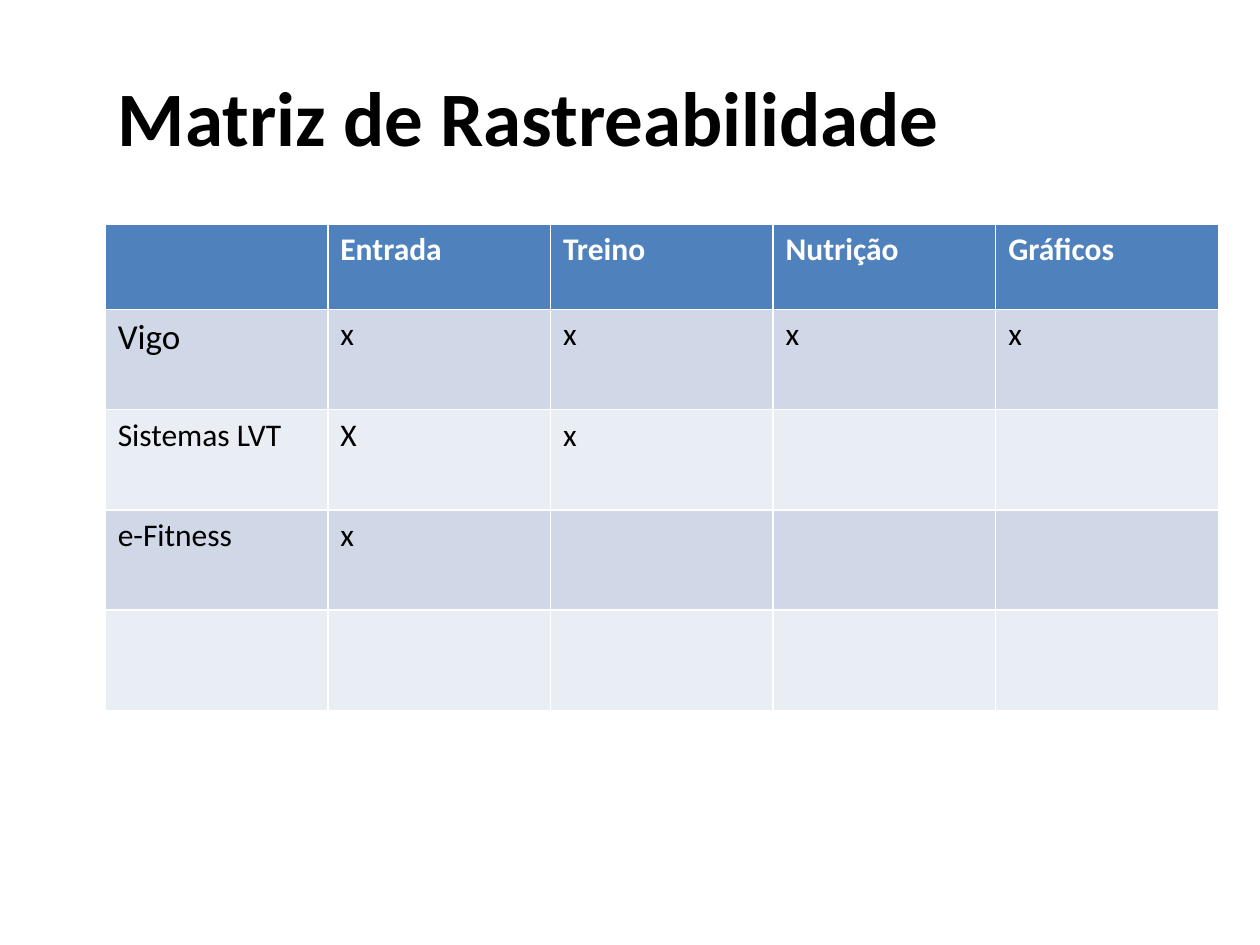
from pptx import Presentation
from pptx.dml.color import RGBColor
from pptx.enum.text import MSO_ANCHOR, PP_ALIGN
from pptx.util import Cm, Pt

LEFT = PP_ALIGN.LEFT
MIDDLE = MSO_ANCHOR.MIDDLE
TITLE_ONLY = 5
FONT = "Calibri"
COLORS = {
    "text": "000000",
    "header_text": "FFFFFF",
    "header": "4F81BD",
    "odd_row": "D0D8E8",
    "even_row": "E9EDF4",
}

FEATURES = ["", "Entrada", "Treino", "Nutrição", "Gráficos"]
SYSTEMS = [
    ["Vigo", "x", "x", "x", "x"],
    ["Sistemas LVT", "X", "x", "", ""],
    ["e-Fitness", "x", "", "", ""],
    ["", "", "", "", ""],
]
LARGE_NAME = SYSTEMS[0][0]


def color(name):
    return RGBColor.from_string(COLORS[name])


def style(paragraph, size, color_name, bold):
    font = paragraph.font
    font.name, font.size, font.bold = FONT, Pt(size), bold
    font.color.rgb = color(color_name)


def add_title(slide, left, top, width, height):
    title = slide.shapes.title
    title.left, title.top, title.width, title.height = left, top, width, height
    title.text_frame.text = "Matriz de Rastreabilidade"
    title.text_frame.vertical_anchor = MIDDLE
    heading = title.text_frame.paragraphs[0]
    heading.alignment = LEFT
    style(heading, 44, "text", True)


def add_matrix(slide, left, top, width, header_height, row_height):
    """Add the traceability table; its default style draws the white rules."""
    rows = [FEATURES] + SYSTEMS
    height = header_height + row_height * len(SYSTEMS)
    matrix = slide.shapes.add_table(
        len(rows), len(FEATURES), left, top, width, height).table
    for column in matrix.columns:
        column.width = width // len(FEATURES)
    for r, labels in enumerate(rows):
        is_header = r == 0
        matrix.rows[r].height = header_height if is_header else row_height
        band = "header" if is_header else "odd_row" if r % 2 else "even_row"
        for c, label in enumerate(labels):
            cell = matrix.cell(r, c)
            cell.fill.solid()
            cell.fill.fore_color.rgb = color(band)
            cell.text = label
            style(cell.text_frame.paragraphs[0],
                  20 if label == LARGE_NAME else 18,
                  "header_text" if is_header else "text", is_header)


def main():
    prs = Presentation()
    prs.slide_width, prs.slide_height = Cm(25.4), Cm(19.05)
    slide = prs.slides.add_slide(prs.slide_layouts[TITLE_ONLY])
    left, width = Cm(2.12), Cm(22.44)
    add_title(slide, left, Cm(0.74), width, Cm(3.18))
    add_matrix(slide, left, Cm(4.52), width, Cm(1.72), Cm(2.02))
    prs.save("out.pptx")


if __name__ == "__main__":
    main()
